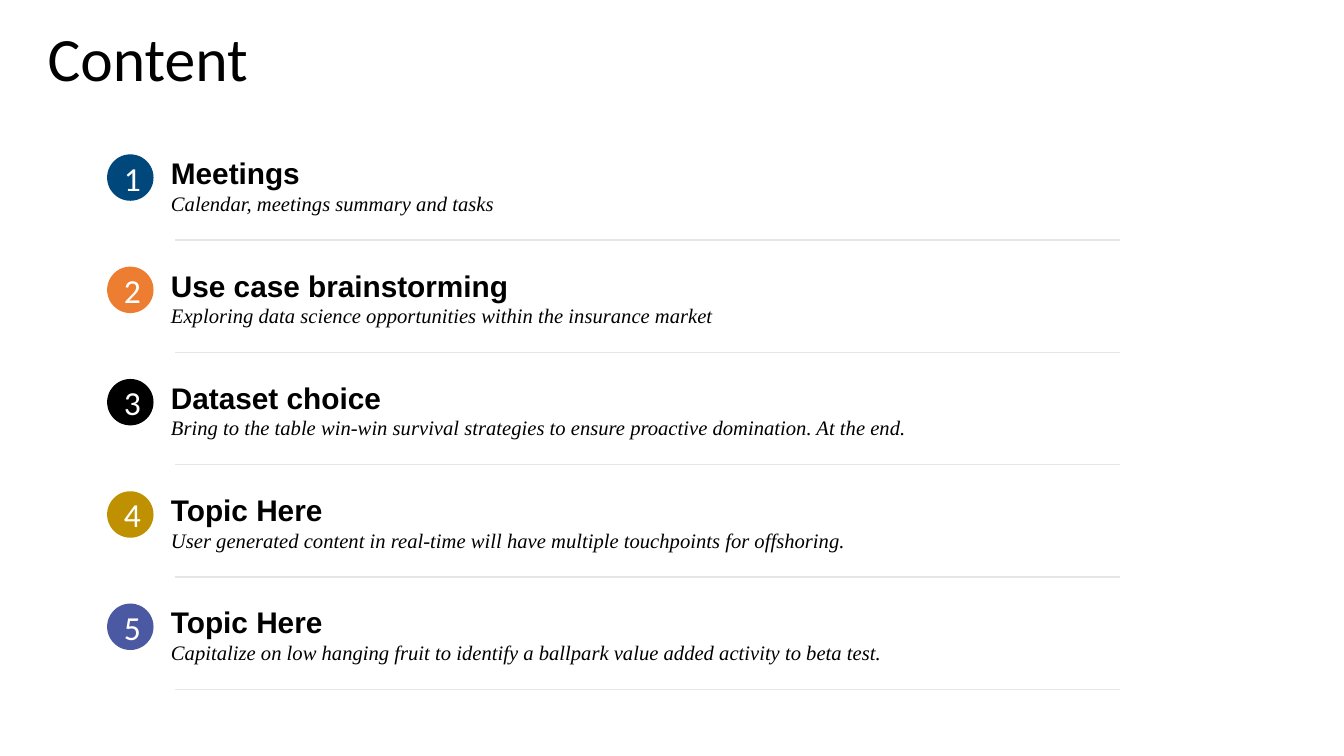
from lxml.etree import SubElement
from pptx import Presentation
from pptx.dml.color import RGBColor
from pptx.enum.shapes import MSO_CONNECTOR as Connector, MSO_SHAPE as Shape
from pptx.enum.text import MSO_ANCHOR as Anchor, MSO_AUTO_SIZE as AutoSize, PP_ALIGN as Align
from pptx.oxml.ns import qn
from pptx.util import Cm, Pt

COLORS = {
    "text": "000000", "number": "FFFFFF", "divider": "E7E6E6",
    "blue": "00477B", "orange": "ED7D31", "black": "000000",
    "gold": "BF9000", "violet": "4B58A2",
}
HEADLINE = {"name": "Calibri", "size": Pt(44)}
NUMBER = {"name": "Calibri", "size": Pt(24)}
TOPIC = {"name": "Arial", "size": Pt(21.3), "bold": True}
SUMMARY = {"name": "Times New Roman", "size": Pt(14.7), "italic": True}

AGENDA = [
    ("blue", "Meetings", "Calendar, meetings summary and tasks"),
    ("orange", "Use case brainstorming",
     "Exploring data science opportunities within the insurance market"),
    ("black", "Dataset choice",
     "Bring to the table win-win survival strategies to ensure proactive domination. At the end."),
    ("gold", "Topic Here",
     "User generated content in real-time will have multiple touchpoints for offshoring."),
    ("violet", "Topic Here",
     "Capitalize on low hanging fruit to identify a ballpark value added activity to beta test."),
]
FIRST_TOP, ROW_PITCH = 3.78, 2.83


def rgb(color):
    return RGBColor.from_string(COLORS[color])


def add_run(paragraph, text, style, color="text"):
    run = paragraph.add_run()
    run.text = text
    for attribute, value in style.items():
        setattr(run.font, attribute, value)
    run.font.color.rgb = rgb(color)


deck = Presentation()
deck.slide_width, deck.slide_height = Cm(33.87), Cm(19.05)
slide = deck.slides.add_slide(deck.slide_layouts[6])

# Headline
headline = slide.shapes.add_textbox(Cm(1), Cm(0.2), Cm(26.1), Cm(2.72)).text_frame
headline_format = {
    "word_wrap": True, "vertical_anchor": Anchor.MIDDLE, "margin_left": Cm(0.2),
    "margin_top": 0, "margin_right": Cm(0.25), "margin_bottom": 0,
}
for attribute, value in headline_format.items():
    setattr(headline, attribute, value)
headline.paragraphs[0].line_spacing = 0.9
add_run(headline.paragraphs[0], "Content", HEADLINE)

# Agenda rows
for index, (color, topic, summary) in enumerate(AGENDA):
    top = FIRST_TOP + index * ROW_PITCH
    row = slide.shapes.add_group_shape().shapes

    # Numbered circle
    badge = row.add_shape(Shape.OVAL, Cm(2.7), Cm(top + 0.11), Cm(1.17), Cm(1.17))
    badge.shadow.inherit = False
    badge.fill.solid()
    badge.fill.fore_color.rgb = rgb(color)
    badge.line.fill.background()
    badge.text_frame.vertical_anchor = Anchor.MIDDLE
    number = badge.text_frame.paragraphs[0]
    number.alignment = Align.CENTER
    add_run(number, str(index + 1), NUMBER, "number")

    # Topic and summary
    entry = row.add_textbox(Cm(4.06), Cm(top), Cm(23), Cm(1.8)).text_frame
    entry.word_wrap = True
    entry.auto_size = AutoSize.SHAPE_TO_FIT_TEXT
    add_run(entry.paragraphs[0], topic, TOPIC)
    entry.paragraphs[0].add_line_break()
    add_run(entry.paragraphs[0], summary, SUMMARY)

    # Divider
    divider_y = Cm(top + 2.27)
    divider = row.add_connector(Connector.STRAIGHT, Cm(4.42), divider_y, Cm(28.22), divider_y)
    divider.line.color.rgb = rgb("divider")
    divider.line.width = Pt(1)
    SubElement(divider.line._get_or_add_ln().getparent(), qn("a:effectLst"))

deck.save("out.pptx")
